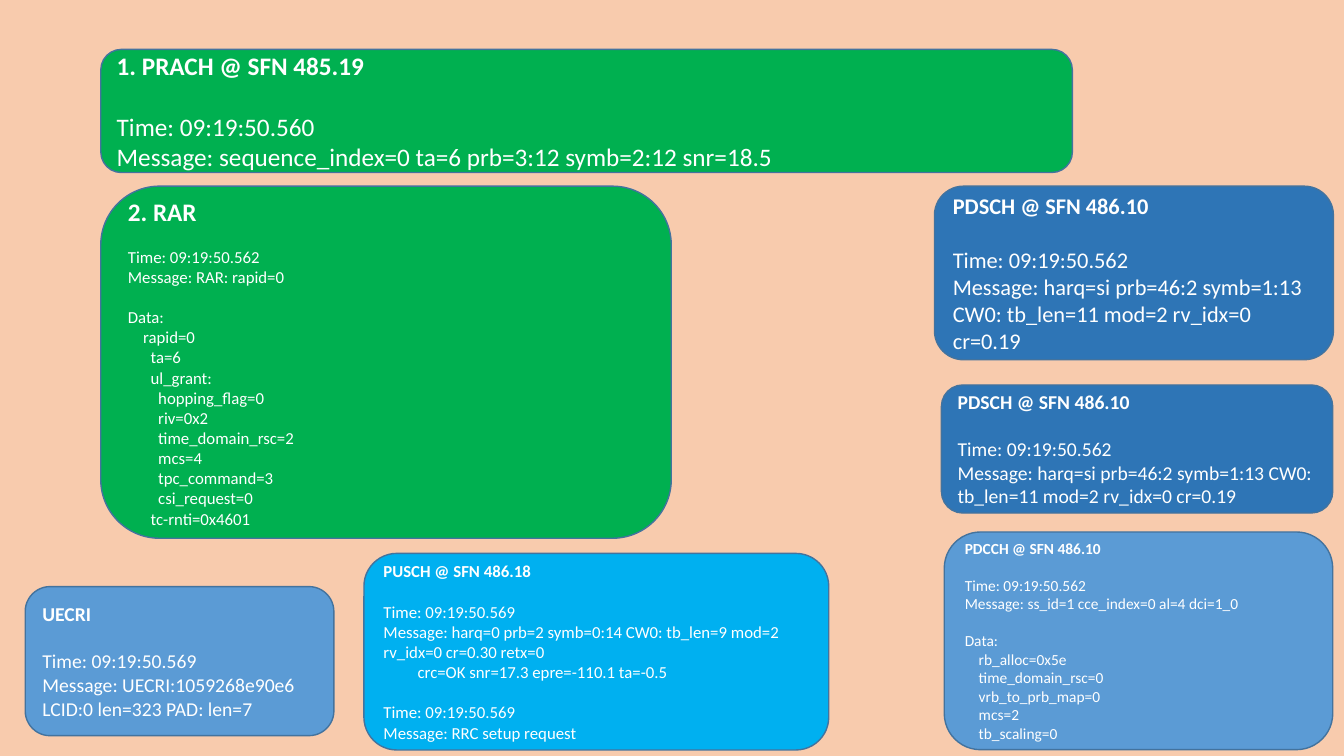
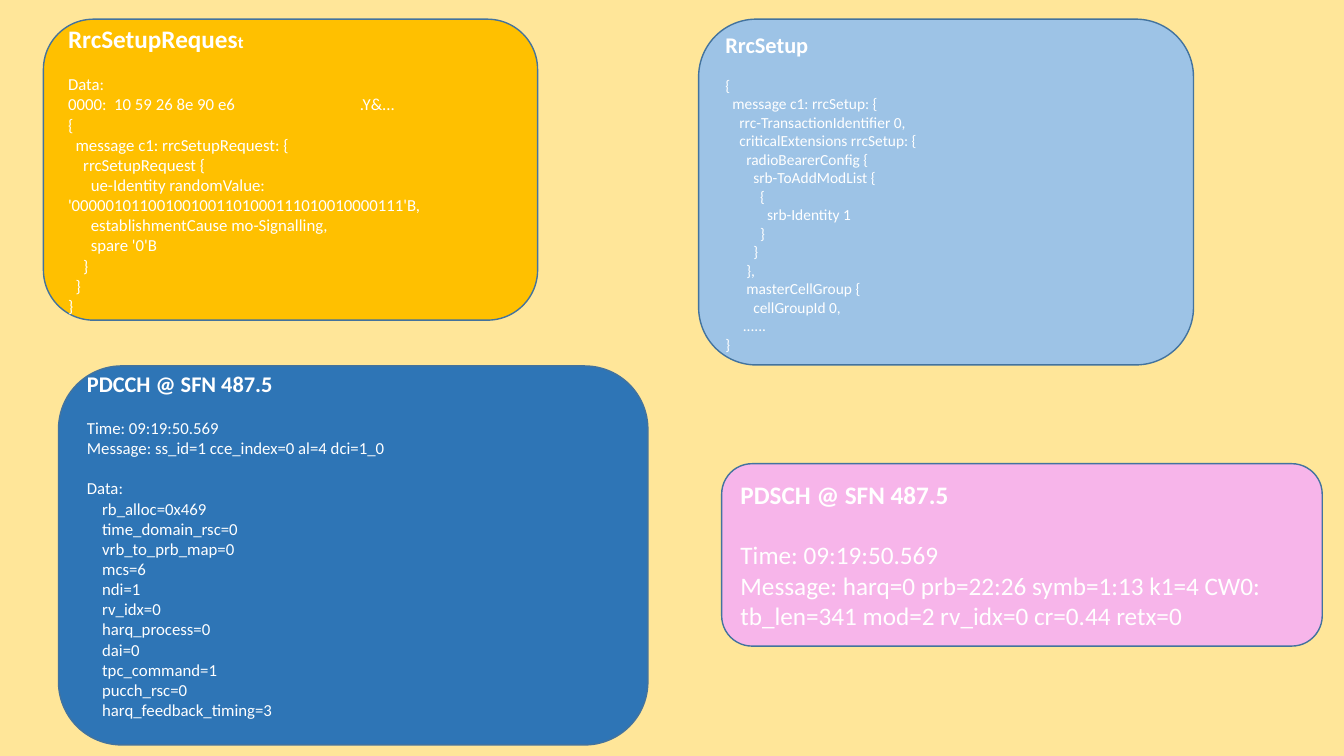
from pptx import Presentation
from pptx.dml.color import RGBColor
from pptx.enum.shapes import MSO_SHAPE as Shape
from pptx.enum.text import MSO_ANCHOR as Anchor, PP_ALIGN as Align
from pptx.oxml.ns import qn
from pptx.util import Pt
from lxml.etree import SubElement

FONT = "Calibri"
WHITE, OUTLINE = "FFFFFF", "43739E"
GREEN, NAVY, BLUE, CYAN = "00B050", "2E75B6", "5B9BD5", "00B0F0"
AMBER, PALE_BLUE, PINK = "FFC000", "9DC3E6", "F7B5EA"
PEACH, CREAM = "F8CBAD", "FFE699"
SPACE_WIDTH = 0.226   # width of a space, in ems
LINE_HEIGHT = 1.2     # height of a line, in ems
HEX_DUMP_TABS = (33, 208.5)

# Message texts: leading spaces become indents, empty lines become spacing
PRACH = """
Time: 09:19:50.560
Message: sequence_index=0 ta=6 prb=3:12 symb=2:12 snr=18.5"""
RAR = """
Time: 09:19:50.562
Message: RAR: rapid=0

Data:
    rapid=0
      ta=6
      ul_grant:
        hopping_flag=0
        riv=0x2
        time_domain_rsc=2
        mcs=4
        tpc_command=3
        csi_request=0
      tc-rnti=0x4601"""
PDSCH_SYSTEM_INFO = """
Time: 09:19:50.562
Message: harq=si prb=46:2 symb=1:13 CW0: tb_len=11 mod=2 rv_idx=0 cr=0.19"""
PDCCH_SYSTEM_INFO = """
Time: 09:19:50.562
Message: ss_id=1 cce_index=0 al=4 dci=1_0

Data:
    rb_alloc=0x5e
    time_domain_rsc=0
    vrb_to_prb_map=0
    mcs=2
    tb_scaling=0"""
PUSCH = """
Time: 09:19:50.569
Message: harq=0 prb=2 symb=0:14 CW0: tb_len=9 mod=2 rv_idx=0 cr=0.30 retx=0
         crc=OK snr=17.3 epre=-110.1 ta=-0.5

Time: 09:19:50.569
Message: RRC setup request"""
UECRI = """
Time: 09:19:50.569
Message: UECRI:1059268e90e6 LCID:0 len=323 PAD: len=7"""
SETUP_REQUEST = """
Data:
0000:\t10 59 26 8e 90 e6\t.Y&...
{
  message c1: rrcSetupRequest: {
    rrcSetupRequest {
      ue-Identity randomValue: '000001011001001001101000111010010000111'B,
      establishmentCause mo-Signalling,
      spare '0'B
    }
  }
}"""
SETUP = """
{
  message c1: rrcSetup: {
    rrc-TransactionIdentifier 0,
    criticalExtensions rrcSetup: {
      radioBearerConfig {
        srb-ToAddModList {
          {
            srb-Identity 1
          }
        }
      },
      masterCellGroup {
        cellGroupId 0,
     ......
}"""
PDCCH_SETUP = """
Time: 09:19:50.569
Message: ss_id=1 cce_index=0 al=4 dci=1_0

Data:
    rb_alloc=0x469
    time_domain_rsc=0
    vrb_to_prb_map=0
    mcs=6
    ndi=1
    rv_idx=0
    harq_process=0
    dai=0
    tpc_command=1
    pucch_rsc=0
    harq_feedback_timing=3
"""
PDSCH_SETUP = """
Time: 09:19:50.569
Message: harq=0 prb=22:26 symb=1:13 k1=4 CW0: tb_len=341 mod=2 rv_idx=0 cr=0.44 retx=0"""

# Cards: box (left, top, width, height), fill, title, title size, text, text size
RANDOM_ACCESS_CARDS = [
    ((72, 35.3, 694, 88), GREEN, "1. PRACH @ SFN 485.19", 18, PRACH, 18),
    ((72, 133, 407.5, 251.5), GREEN, "2. RAR", 18, RAR, 12),
    ((667.5, 133, 285, 124), NAVY, "PDSCH @ SFN 486.10", 16, PDSCH_SYSTEM_INFO, 16),
    ((672.5, 275, 279.5, 91.5), NAVY, "PDSCH @ SFN 486.10", 14, PDSCH_SYSTEM_INFO, 14),
    ((674.5, 380, 277.5, 155.5), BLUE, "PDCCH @ SFN 486.10", 11, PDCCH_SYSTEM_INFO, 11),
    ((260, 395.3, 332, 140.4), CYAN, "PUSCH @ SFN 486.18", 12, PUSCH, 12),
    ((18, 419, 220.5, 106.5), BLUE, "UECRI", 14, UECRI, 14),
]
SETUP_CARDS = [
    ((31, 13.7, 353, 215), AMBER, "RrcSetupReques|t", 18, SETUP_REQUEST, 12),
    ((499, 13.7, 353.5, 247), PALE_BLUE, "RrcSetup", 16, SETUP, 11),
    ((41.8, 261.4, 421, 270.7), NAVY, "PDCCH @ SFN 487.5", 16, PDCCH_SETUP, 12),
    ((515.5, 331.2, 429, 130.3), PINK, "PDSCH @ SFN 487.5", 18, PDSCH_SETUP, 18),
]


def color(value):
    return RGBColor.from_string(value)


def style_paragraph(paragraph, size, bold=False):
    paragraph.alignment = Align.LEFT
    font = paragraph.font
    font.name, font.size, font.bold = FONT, Pt(size), bold
    font.color.rgb = color(WHITE)


def add_tab_stops(paragraph, positions):
    properties = paragraph.font._element.getparent()
    tab_list = SubElement(properties, qn("a:tabLst"))
    properties.remove(tab_list)
    properties.insert(properties.index(paragraph.font._element), tab_list)
    for position in positions:
        SubElement(tab_list, qn("a:tab"), pos=str(Pt(position)), algn="l")


def add_title(paragraph, title, size, text_size):
    """A part of the title after a bar takes the text size."""
    style_paragraph(paragraph, size, bold=True)
    main, _, ending = title.partition("|")
    paragraph.add_run().text = main
    if ending:
        run = paragraph.add_run()
        run.text = ending
        run.font.size = Pt(text_size)


def add_message(frame, message, size):
    gap = 0
    for line in message.split("\n"):
        if not line:
            gap += size * LINE_HEIGHT
            continue
        paragraph = frame.add_paragraph()
        paragraph.text = line.lstrip(" ")
        style_paragraph(paragraph, size)
        paragraph.space_before = Pt(gap)
        gap = 0
        spaces = len(line) - len(line.lstrip(" "))
        if spaces:
            properties = paragraph.font._element.getparent()
            properties.set("marL", "0")
            properties.set("indent", str(Pt(spaces * SPACE_WIDTH * size)))
        if "\t" in line:
            add_tab_stops(paragraph, HEX_DUMP_TABS)
    # Spacing below the last line belongs to the frame
    frame.margin_bottom = Pt(3.6 + gap)


def add_card(slide, box, fill, title, title_size, message, text_size):
    card = slide.shapes.add_shape(Shape.ROUNDED_RECTANGLE, *map(Pt, box))
    card.shadow.inherit = False
    card.fill.solid()
    card.fill.fore_color.rgb = color(fill)
    card.line.color.rgb = color(OUTLINE)
    card.line.width = Pt(1)
    frame = card.text_frame
    frame.word_wrap = True
    frame.vertical_anchor = Anchor.MIDDLE
    add_title(frame.paragraphs[0], title, title_size, text_size)
    add_message(frame, message, text_size)


def add_card_slide(presentation, background, cards):
    slide = presentation.slides.add_slide(presentation.slide_layouts[6])
    slide.background.fill.solid()
    slide.background.fill.fore_color.rgb = color(background)
    for card in cards:
        add_card(slide, *card)


def main():
    presentation = Presentation()
    presentation.slide_width, presentation.slide_height = Pt(960), Pt(540)
    add_card_slide(presentation, PEACH, RANDOM_ACCESS_CARDS)
    add_card_slide(presentation, CREAM, SETUP_CARDS)
    presentation.save("out.pptx")


if __name__ == "__main__":
    main()
